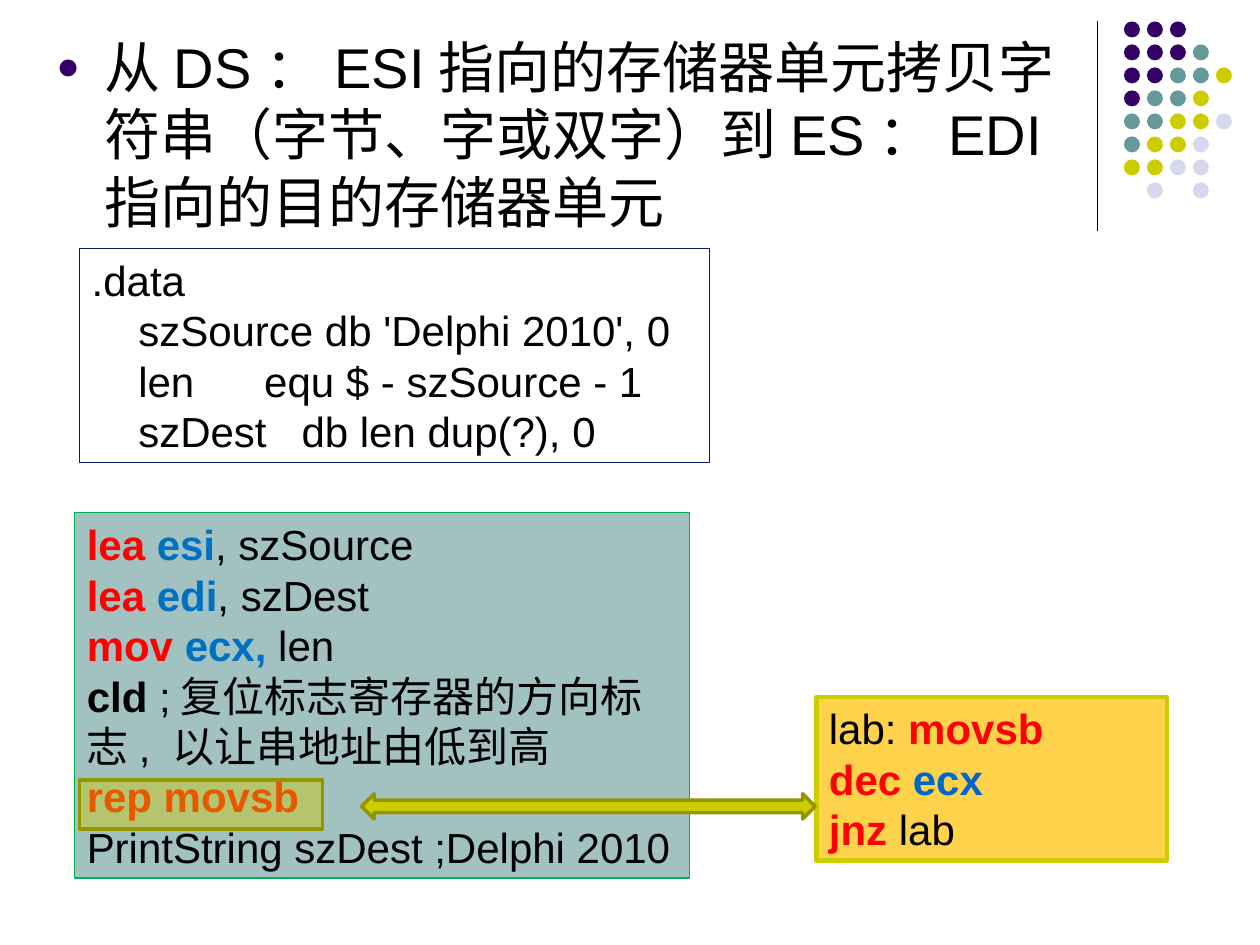
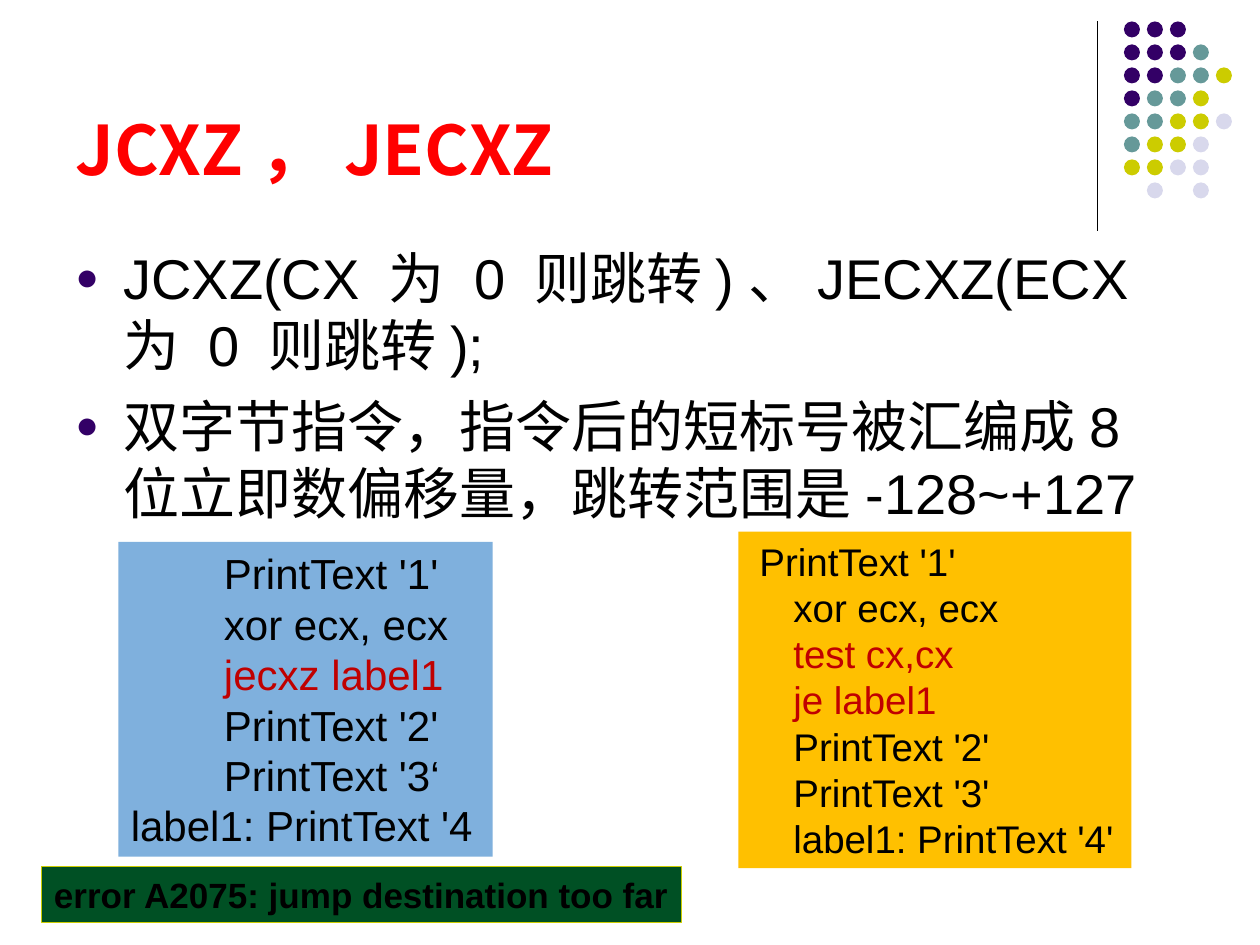
from lxml import etree
from pptx import Presentation
from pptx import util as u
from pptx.dml.color import RGBColor
from pptx.enum import shapes, text
from pptx.oxml import ns

COLOURS = {
    "black": "000000",
    "red": "FF0000",
    "dark red": "C00000",
    "register": "0070C0",
    "counter": "0066CC",
    "navy": "002060",
    "purple": "330066",
    "teal": "669999",
    "lime": "CCCC00",
    "olive": "959500",
    "lavender": "D8D8EC",
    "sage": "A2C1C1",
    "green": "00B050",
    "forest": "005024",
    "amber": "FFC000",
    "sky": "7FB0DD",
}
LATIN = "Arial"
CJK = "Noto Sans CJK SC"
WIDTH, HEIGHT = u.Inches(10), u.Inches(7.5)
COLUMN, ROW = WIDTH / 100, HEIGHT / 75
LEADING = 1.2

DOT_ROWS = ["PPP", "PPPT", "PPTTY", "PTTY", "TTYYL", "TYYL", "YYLL", ".L.L"]
DOT_COLOURS = {"P": "purple", "T": "teal", "Y": "lime", "L": "lavender"}
DOT_SIZE = 1.27
DOT_PITCH = 7.3 / 4

OPCODE = {"colour": "red", "bold": True}
REGISTER = {"colour": "register", "bold": True}
COUNTER = {"colour": "counter", "bold": True}
BOLD = {"bold": True}
JUMP = {"colour": "dark red"}


def rgb(name):
    return RGBColor.from_string(COLOURS[name])


def place(left, top, width, height):
    return [round(n) for n in (left * COLUMN, top * ROW, width * COLUMN, height * ROW)]


def add_child(parent, tag, **attributes):
    child = etree.SubElement(parent, ns.qn(tag))
    for key, value in attributes.items():
        child.set(key, value)
    return child


def write(paragraph, words, size=24, colour="black", bold=False, font=LATIN):
    run = paragraph.add_run()
    run.text = words
    run.font.size = u.Pt(size)
    run.font.bold = bold
    run.font.name = font
    run.font.color.rgb = rgb(colour)
    add_child(run.font._element, "a:ea", typeface=font)


def set_frame(shape, wrap=True, anchor=text.MSO_ANCHOR.TOP):
    frame = shape.text_frame
    frame.word_wrap = wrap
    frame.vertical_anchor = anchor
    frame.margin_left = frame.margin_right = u.Inches(0.1)
    frame.margin_top = frame.margin_bottom = u.Inches(0.05)
    return frame


def next_paragraph(frame, index, size):
    paragraph = frame.add_paragraph() if index else frame.paragraphs[0]
    paragraph.alignment = text.PP_ALIGN.LEFT
    paragraph.line_spacing = u.Pt(size * LEADING)
    return paragraph


def add_figure(container, kind, area, fill=None, line=None, line_width=0.75, opacity=None):
    shape = container.add_shape(kind, *place(*area))
    shape.shadow.inherit = False
    if fill:
        shape.fill.solid()
        shape.fill.fore_color.rgb = rgb(fill)
    else:
        shape.fill.background()
    if opacity:
        colour = shape._element.spPr.find(".//" + ns.qn("a:srgbClr"))
        add_child(colour, "a:alpha", val=str(opacity * 1000))
    if line:
        shape.line.color.rgb = rgb(line)
        shape.line.width = u.Pt(line_width)
    else:
        shape.line.fill.background()
    return shape


def add_code(slide, area, lines, size=24, wrap=True, **look):
    box = add_figure(slide.shapes, shapes.MSO_SHAPE.RECTANGLE, area, **look)
    frame = set_frame(box, wrap)
    for index, line in enumerate(lines):
        paragraph = next_paragraph(frame, index, size)
        for words, style in [(line, {})] if isinstance(line, str) else line:
            write(paragraph, words, **{"size": size, **style})


def add_bullets(slide, area, items, size=32):
    frame = set_frame(slide.shapes.add_textbox(*place(*area)))
    for index, item in enumerate(items):
        paragraph = next_paragraph(frame, index, size)
        if index:
            paragraph.space_before = u.Pt(8)
        properties = paragraph._p.get_or_add_pPr()
        properties.set("marL", str(u.Inches(0.38)))
        properties.set("indent", str(-u.Inches(0.38)))
        colour = add_child(properties, "a:buClr")
        add_child(colour, "a:srgbClr", val=COLOURS["purple"])
        add_child(properties, "a:buSzPct", val="70000")
        add_child(properties, "a:buFont", typeface=LATIN)
        add_child(properties, "a:buChar", char="●")
        write(paragraph, item, size=size)


def add_title(slide, words, size=39):
    box = slide.shapes.add_textbox(*place(5, 1.3, 82.5, 14.2))
    frame = set_frame(box, anchor=text.MSO_ANCHOR.BOTTOM)
    paragraph = next_paragraph(frame, 0, size)
    write(paragraph, words, size=size, colour="red", bold=True, font=CJK)


def add_corner(slide):
    left, top, _, length = place(87.1, 1.7, 0, 16.6)
    rule = slide.shapes.add_connector(
        shapes.MSO_CONNECTOR.STRAIGHT, left, top, left, top + length)
    rule.line.color.rgb = rgb("black")
    rule.line.width = u.Pt(0.75)
    add_child(rule._element.spPr, "a:effectLst")
    dots = slide.shapes.add_group_shape().shapes
    for row, marks in enumerate(DOT_ROWS):
        for column, mark in enumerate(marks):
            if mark in DOT_COLOURS:
                area = (89.2 + column * DOT_PITCH, 1.7 + row * DOT_PITCH, DOT_SIZE, DOT_SIZE)
                add_figure(dots, shapes.MSO_SHAPE.OVAL, area, fill=DOT_COLOURS[mark])


def new_slide(presentation):
    slide = presentation.slides.add_slide(presentation.slide_layouts[6])
    add_corner(slide)
    return slide


def build_string_copy(presentation):
    slide = new_slide(presentation)
    add_bullets(slide, (3.5, 2.1, 82.7, 48.2), [
        "从DS：ESI指向的存储器单元拷贝字符串（字节、字或双字）到ES：EDI指向的目的存储器单元",
    ])
    add_code(slide, (6.3, 19.7, 50, 17), [
        ".data",
        "    szSource db 'Delphi 2010', 0",
        "    len      equ $ - szSource - 1",
        "    szDest   db len dup(?), 0",
    ], line="navy")
    add_code(slide, (5.9, 40.7, 48.8, 29), [
        [("lea ", OPCODE), ("esi", REGISTER), (", szSource", {})],
        [("lea ", OPCODE), ("edi", REGISTER), (", szDest", {})],
        [("mov ", OPCODE), ("ecx, ", REGISTER), ("len", {})],
        [("cld", BOLD), (" ;复位标志寄存器的方向标志, 以让串地址由低到高", {})],
        [("rep movsb", OPCODE)],
        "PrintString szDest ;Delphi 2010",
    ], fill="sage", line="green")
    add_figure(slide.shapes, shapes.MSO_SHAPE.FLOWCHART_PROCESS, (6.3, 61.9, 19.3, 3.9),
               fill="lime", line="olive", line_width=2, opacity=43)
    add_code(slide, (64.8, 55.3, 27.8, 13), [
        [("lab: ", {}), ("movsb", OPCODE)],
        [("dec ", OPCODE), ("ecx", COUNTER)],
        [("jnz ", OPCODE), ("lab", {})],
    ], fill="amber", line="lime", line_width=2.5, opacity=70)
    add_figure(slide.shapes, shapes.MSO_SHAPE.LEFT_RIGHT_ARROW, (28.7, 63, 36, 2),
               fill="lime", line="olive", line_width=2)


def build_zero_jump(presentation):
    slide = new_slide(presentation)
    add_title(slide, "JCXZ，JECXZ")
    add_bullets(slide, (5, 18.8, 90, 48.2), [
        "JCXZ(CX 为 0 则跳转)、JECXZ(ECX 为 0 则跳转);",
        "双字节指令，指令后的短标号被汇编成8位立即数偏移量，跳转范围是-128~+127",
    ])
    add_code(slide, (9.4, 43, 29.7, 25), [
        "        PrintText '1'",
        "        xor ecx, ecx",
        [("        jecxz label1", JUMP)],
        "        PrintText '2'",
        "        PrintText '3‘",
        "label1: PrintText '4",
    ], fill="sky")
    add_code(slide, (3.3, 68.8, 50.8, 4.4), [
        [("error A2075: jump destination too far", BOLD)],
    ], size=20, wrap=False, fill="forest", line="lime")
    add_code(slide, (58.6, 42.2, 31.2, 26.7), [
        [(" ", {"size": 18}), ("PrintText '1'", {})],
        "    xor ecx, ecx",
        [("    test cx,cx", JUMP)],
        [("    je label1", JUMP)],
        "    PrintText '2'",
        "    PrintText '3'",
        "    label1: PrintText '4'",
    ], size=22, fill="amber")


def main():
    presentation = Presentation()
    presentation.slide_width, presentation.slide_height = WIDTH, HEIGHT
    build_string_copy(presentation)
    build_zero_jump(presentation)
    presentation.save("out.pptx")


if __name__ == "__main__":
    main()
